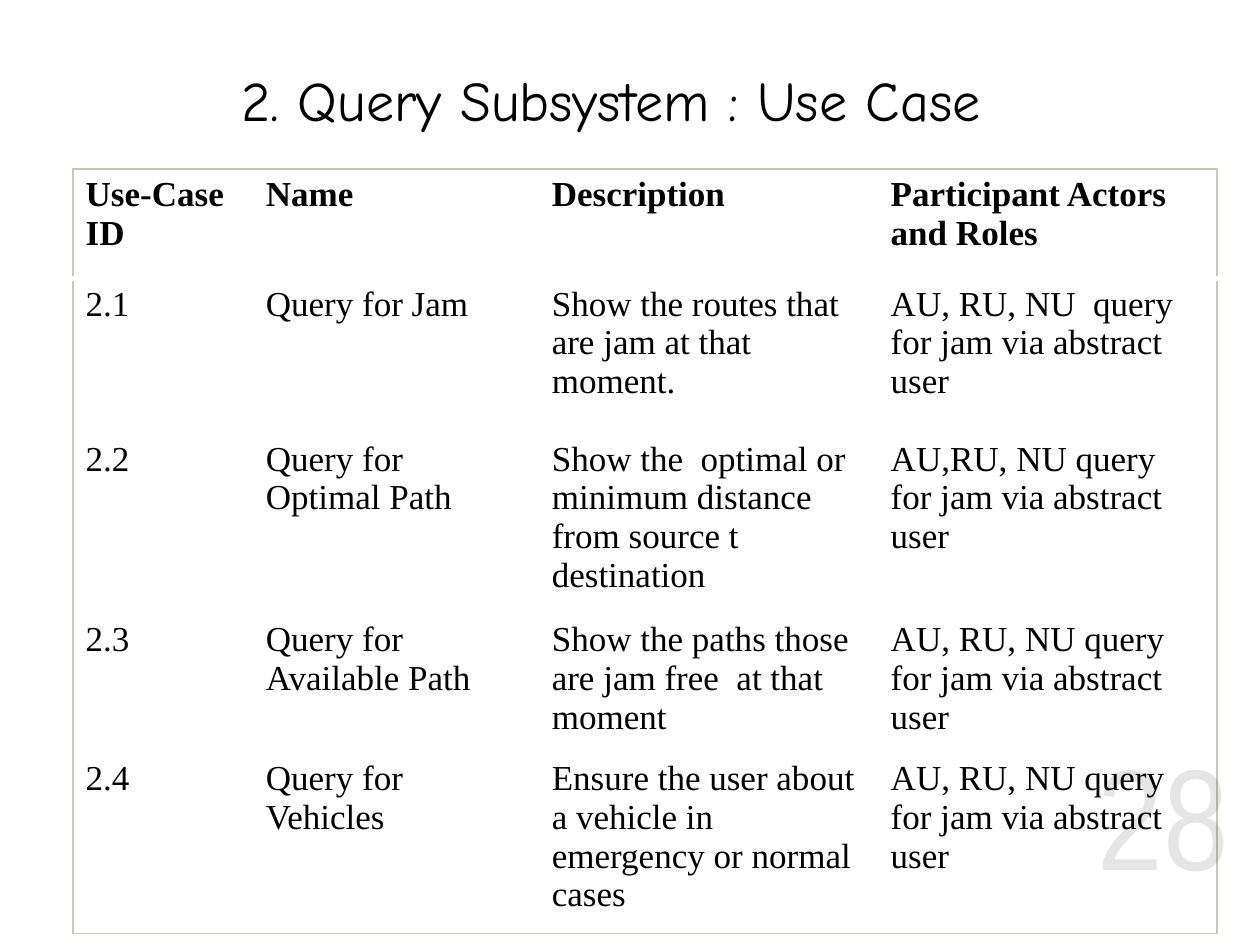
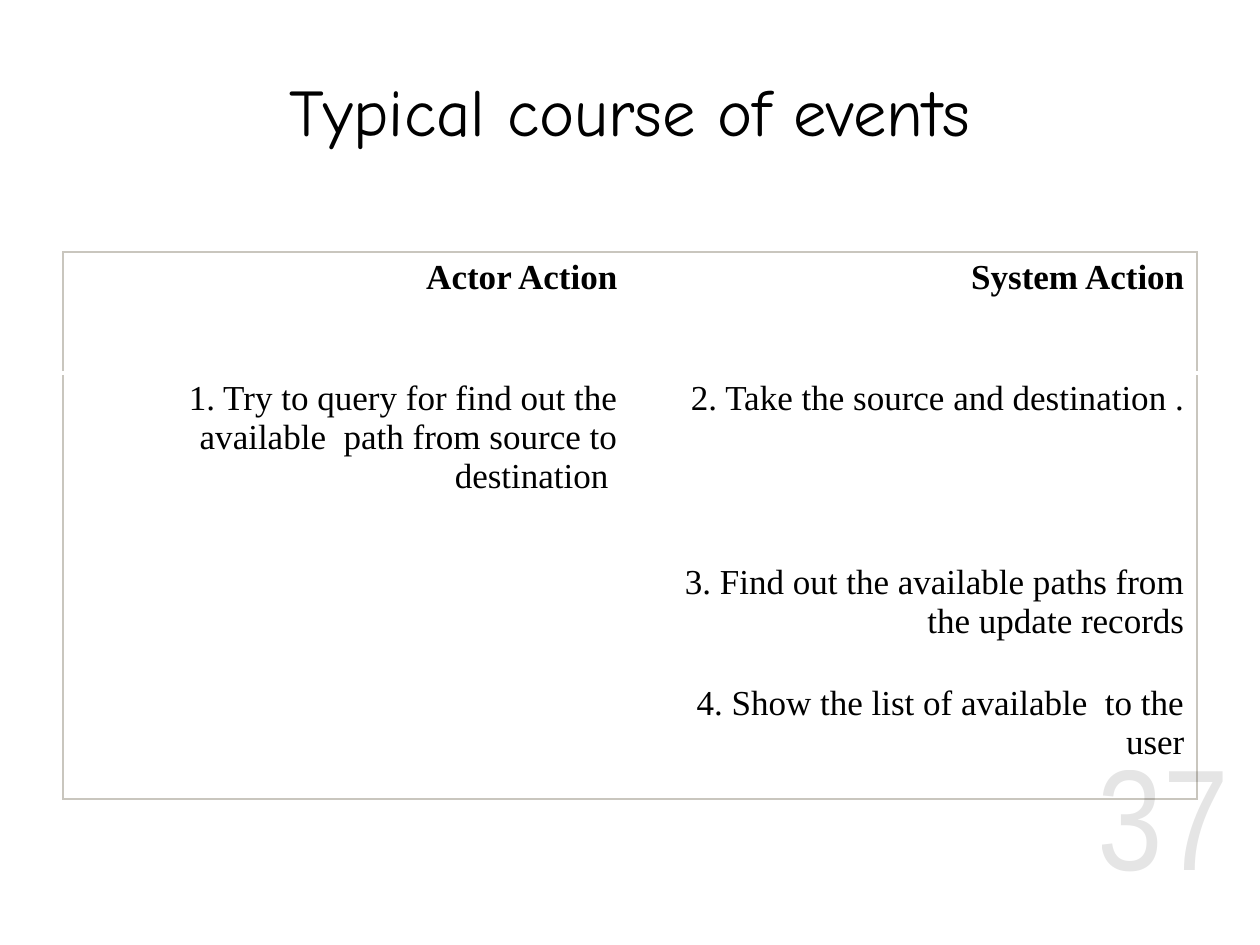
from dataclasses import dataclass

from lxml.etree import SubElement
from pptx import Presentation
from pptx.dml.color import RGBColor
from pptx.enum.text import MSO_ANCHOR as Anchor, PP_ALIGN as Align
from pptx.oxml.ns import qn
from pptx.slide import Slide
from pptx.table import _Cell as Cell
from pptx.util import Inches, Pt

BLACK = RGBColor(0x00, 0x00, 0x00)
WHITE = RGBColor(0xFF, 0xFF, 0xFF)
FRAME_GREY = RGBColor(0xC9, 0xC6, 0xBE)

TITLE_FONT = "Comic Neue"
BODY_FONT = "Times New Roman"
NUMBER_FONT = "Arial Narrow"
PLAIN_TABLE_STYLE = "{2D5ABB26-0587-4C30-8999-92F81FD0307C}"


@dataclass(frozen=True)
class Area:
    left: float
    top: float
    width: float
    height: float


@dataclass(frozen=True)
class TextStyle:
    font: str
    size: int
    align: Align
    bold: bool = False
    opacity: int = 100


@dataclass(frozen=True)
class TablePage:
    title: str
    title_size: int
    title_area: Area
    number: str
    left: float
    top: float
    column_widths: list[float]
    row_heights: list[float]
    align: Align
    rows: list[list[str]]


NUMBER_AREA = Area(8.23, 5.99, 1.62, 0.93)
NUMBER_STYLE = TextStyle(NUMBER_FONT, 82, Align.RIGHT, opacity=10)

PAGES = [
    TablePage(
        title="2. Query Subsystem : Use Case ",
        title_size=32,
        title_area=Area(0, 0.33, 9.85, 0.92),
        number="28",
        left=0.58,
        top=1.34,
        column_widths=[1.43, 2.27, 2.69, 2.69],
        row_heights=[0.87, 1.23, 1.23, 0.87, 1.23],
        align=Align.LEFT,
        rows=[
            ["Use-Case ID", "Name", "Description", "Participant Actors and Roles"],
            ["2.1", "Query for Jam", "Show the routes that are jam at that moment.",
             "AU, RU, NU  query for jam via abstract user"],
            ["2.2", "Query for Optimal Path",
             "Show the  optimal or minimum distance from source t destination",
             "AU,RU, NU query for jam via abstract user"],
            ["2.3", "Query for Available Path",
             "Show the paths those are jam free  at that moment",
             "AU, RU, NU query for jam via abstract user"],
            ["2.4", "Query for Vehicles",
             "Ensure the user about a vehicle in emergency or normal cases",
             "AU, RU, NU query for jam via abstract user"],
        ],
    ),
    TablePage(
        title="Typical course of events",
        title_size=38,
        title_area=Area(0, 0, 10, 1.75),
        number="37",
        left=0.5,
        top=2,
        column_widths=[4.5, 4.5],
        row_heights=[0.96, 1.46, 0.96, 0.96],
        align=Align.RIGHT,
        rows=[
            ["Actor Action", "System Action"],
            ["1. Try to query for find out the available  path from source to destination ",
             "2. Take the source and destination ."],
            ["", "3. Find out the available paths from the update records"],
            ["", "4. Show the list of available  to the user"],
        ],
    ),
]


def set_opacity(fill, percent: int) -> None:
    """Add an alpha value to the colour of a solid fill."""
    color = fill._xPr.find(qn("a:solidFill"))[0]
    SubElement(color, qn("a:alpha"), val=str(percent * 1000))


def write(frame, text: str, style: TextStyle) -> None:
    para = frame.paragraphs[0]
    para.alignment = style.align
    span = para.add_run()
    span.text = text
    span.font.name = style.font
    span.font.size = Pt(style.size)
    span.font.bold = style.bold
    span.font.color.rgb = BLACK
    if style.opacity < 100:
        set_opacity(span.font.fill, style.opacity)


def add_text(page: Slide, area: Area, text: str, style: TextStyle) -> None:
    box = page.shapes.add_textbox(Inches(area.left), Inches(area.top),
                                  Inches(area.width), Inches(area.height))
    box.text_frame.word_wrap = True
    box.text_frame.vertical_anchor = Anchor.MIDDLE
    write(box.text_frame, text, style)


def add_border(cell: Cell, side: str, color: RGBColor, points: int) -> None:
    """Draw one cell edge; side is L, R, T or B, called in that order."""
    properties = cell._tc.get_or_add_tcPr()
    line = SubElement(properties, qn(f"a:ln{side}"), w=str(Pt(points)))
    solid = SubElement(line, qn("a:solidFill"))
    SubElement(solid, qn("a:srgbClr"), val=str(color))


def frame_cell(cell: Cell, row: int, column: int, last_row: int, last_column: int) -> None:
    """Give a cell its part of the outer frame and the rule under the header."""
    edges = {"L": column == 0, "R": column == last_column,
             "T": row == 0, "B": row == last_row}
    for side, on_frame in edges.items():
        if on_frame:
            add_border(cell, side, FRAME_GREY, 1)
    if row == 0:
        add_border(cell, "B", WHITE, 3)


def fill_cell(cell: Cell, banded: bool) -> None:
    if banded:
        cell.fill.solid()
        cell.fill.fore_color.rgb = WHITE
        set_opacity(cell.fill, 20)
    else:
        cell.fill.background()


def add_grid(page: Slide, content: TablePage) -> None:
    widths, heights = content.column_widths, content.row_heights
    table = page.shapes.add_table(
        len(heights), len(widths), Inches(content.left), Inches(content.top),
        Inches(sum(widths)), Inches(sum(heights))).table
    table.first_row = table.horz_banding = False
    table._tbl.tblPr.find(qn("a:tableStyleId")).text = PLAIN_TABLE_STYLE
    for column, width in zip(table.columns, widths):
        column.width = Inches(width)
    for row, height in zip(table.rows, heights):
        row.height = Inches(height)

    for r, texts in enumerate(content.rows):
        style = TextStyle(BODY_FONT, 20, content.align, bold=r == 0)
        for c, text in enumerate(texts):
            cell = table.cell(r, c)
            frame_cell(cell, r, c, len(heights) - 1, len(widths) - 1)
            fill_cell(cell, banded=r % 2 == 1)
            if text:
                write(cell.text_frame, text, style)


def main() -> None:
    deck = Presentation()
    deck.slide_width, deck.slide_height = Inches(10), Inches(7.5)
    blank = deck.slide_layouts[6]
    for content in PAGES:
        page = deck.slides.add_slide(blank)
        title_style = TextStyle(TITLE_FONT, content.title_size, Align.CENTER)
        add_text(page, content.title_area, content.title, title_style)
        add_grid(page, content)
        add_text(page, NUMBER_AREA, content.number, NUMBER_STYLE)
    deck.save("out.pptx")


if __name__ == "__main__":
    main()
